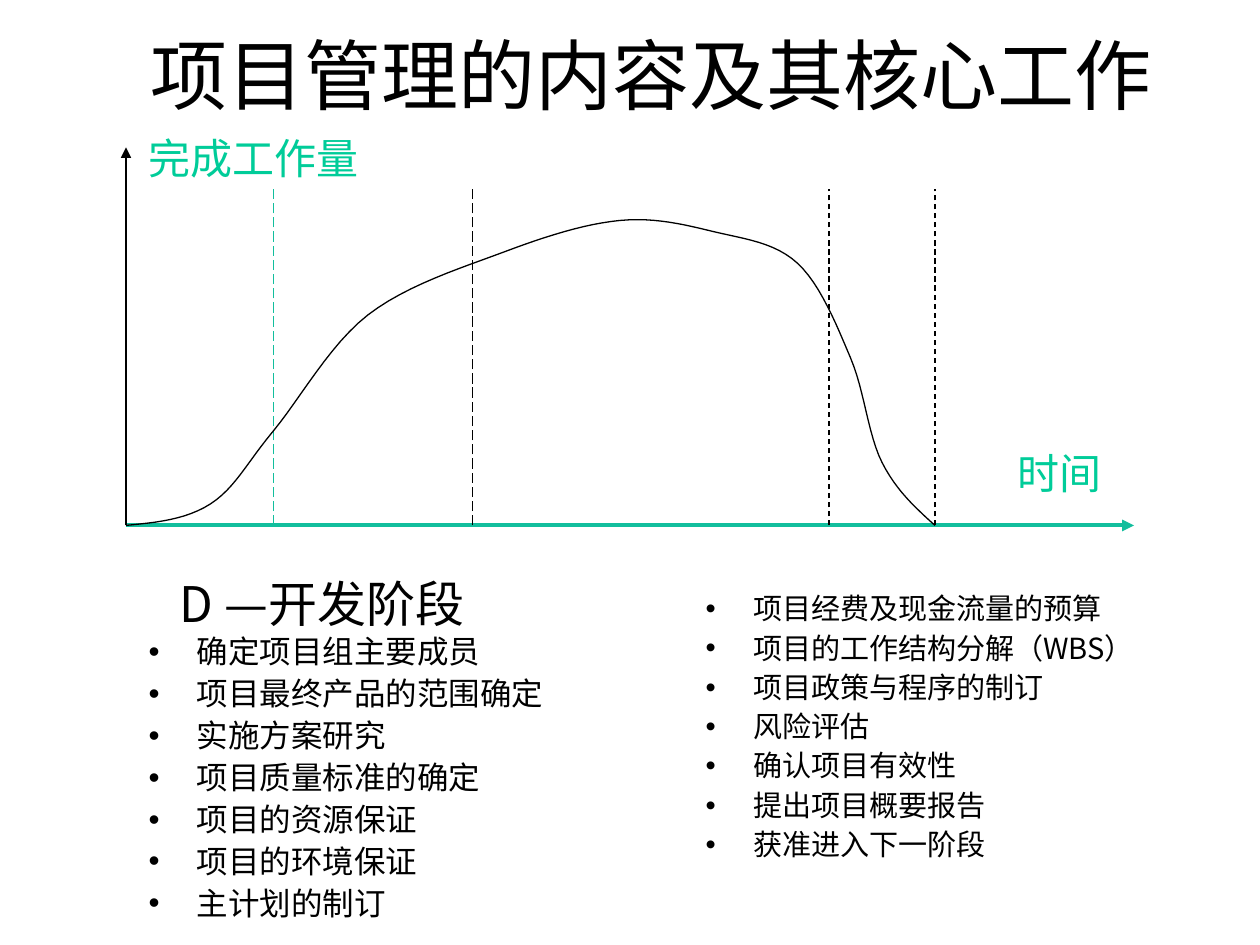
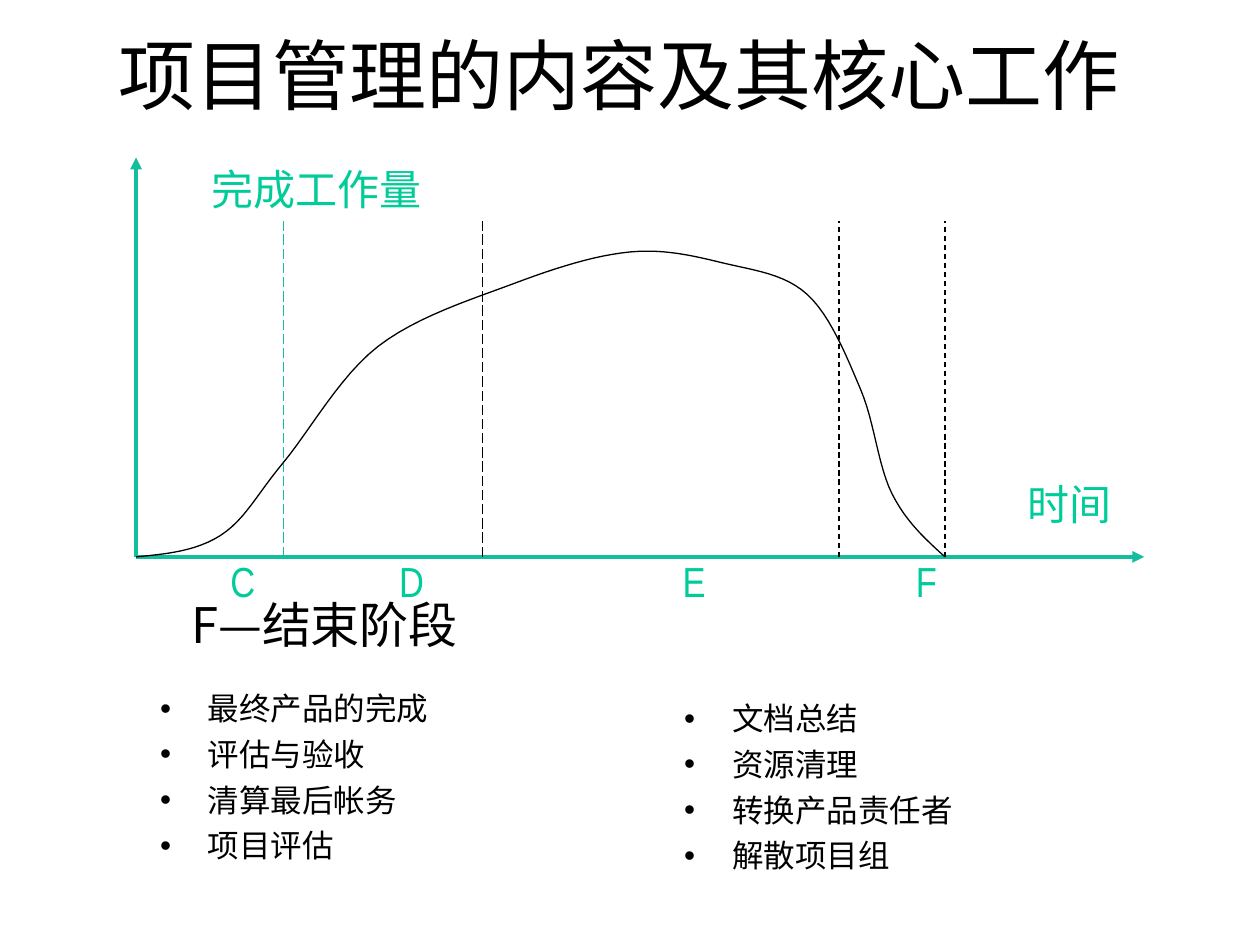
import pptx
import pptx.dml.color
import pptx.enum.dml
import pptx.enum.shapes
import pptx.enum.text
import pptx.oxml
import pptx.oxml.ns
import pptx.util
from pptx.util import Inches

BLACK = pptx.dml.color.RGBColor(0x00, 0x00, 0x00)
AXIS_GREEN = pptx.dml.color.RGBColor(0x12, 0xBE, 0x9D)
LABEL_GREEN = pptx.dml.color.RGBColor(0x00, 0xCC, 0x99)
SERIF = "Times New Roman"
SANS = "Noto Sans CJK SC"
NARROW = "Arial Narrow"
LONG_DASH = pptx.enum.dml.MSO_LINE.LONG_DASH
DASH = pptx.enum.dml.MSO_LINE.DASH

TITLE = "项目管理的内容及其核心工作"
TIME_AXIS_LENGTH = 8
DIVIDER_HEIGHT = 2.67
PHASE_DIVIDERS = [
    (1.17, AXIS_GREEN, LONG_DASH),
    (2.75, BLACK, LONG_DASH),
    (5.58, BLACK, DASH),
    (6.42, BLACK, DASH),
]
WORKLOAD = [
    (0, 0), (0.67, 0.17), (1.17, 0.75), (1.92, 1.67), (3, 2.17), (3.92, 2.42),
    (4.67, 2.33), (5.33, 2.08), (5.75, 1.33), (6, 0.5), (6.42, 0),
]
LEAD_IN, LEAD_OUT = (-0.74, 0.04), (6.93, -0.34)
CURVE_STEPS = 12


def drawing_element(tag, **attributes):
    element = pptx.oxml.parse_xml(f"<a:{tag} {pptx.oxml.ns.nsdecls('a')}/>")
    for key, value in attributes.items():
        element.set(key, value)
    return element


def format_paragraph(paragraph, size, font, color):
    for run in paragraph.runs:
        run.font.size = pptx.util.Pt(size)
        run.font.name = font
        run.font.color.rgb = color
        run.font._element.find(pptx.oxml.ns.qn("a:latin")).addnext(
            drawing_element("ea", typeface=SANS))


def place(shape, left, top, width, height):
    shape.left, shape.top = Inches(left), Inches(top)
    shape.width, shape.height = Inches(width), Inches(height)


def add_title(slide, box):
    title = slide.shapes.title
    place(title, *box)
    frame = title.text_frame
    frame.text = TITLE
    frame.auto_size = pptx.enum.text.MSO_AUTO_SIZE.NONE
    frame.vertical_anchor = pptx.enum.text.MSO_ANCHOR.MIDDLE
    frame.paragraphs[0].alignment = pptx.enum.text.PP_ALIGN.CENTER
    format_paragraph(frame.paragraphs[0], 44, SERIF, BLACK)


def add_tasks(slide, index, box, tasks, line_spacing, size=18, font=SERIF):
    body = slide.placeholders[index]
    place(body, *box)
    frame = body.text_frame
    frame.text = "\n".join(tasks)
    frame.auto_size = pptx.enum.text.MSO_AUTO_SIZE.NONE
    for number, paragraph in enumerate(frame.paragraphs):
        properties = paragraph._p.get_or_add_pPr()
        properties.set("marL", str(Inches(0.38)))
        properties.set("indent", str(-Inches(0.38)))
        properties.append(drawing_element("buChar", char="•"))
        paragraph.line_spacing = line_spacing
        paragraph.space_before = pptx.util.Pt(4.5 if number else 0)
        format_paragraph(paragraph, size, font, BLACK)


def add_label(slide, text, box, size, font, color, tab_stops=()):
    label = slide.shapes.add_textbox(*map(Inches, box))
    frame = label.text_frame
    frame.word_wrap = True
    frame.text = text
    paragraph = frame.paragraphs[0]
    if tab_stops:
        tabs = drawing_element("tabLst")
        for stop in tab_stops:
            tabs.append(drawing_element("tab", pos=str(Inches(stop)), algn="l"))
        paragraph._p.get_or_add_pPr().append(tabs)
    format_paragraph(paragraph, size, font, color)


def add_line(slide, start, end, color, width=0.75, dash=None, arrow=False):
    connector = slide.shapes.add_connector(
        pptx.enum.shapes.MSO_CONNECTOR.STRAIGHT, *map(Inches, (*start, *end)))
    connector.line.color.rgb = color
    connector.line.width = pptx.util.Pt(width)
    if dash:
        connector.line.dash_style = dash
    if arrow:
        connector.line._get_or_add_ln().append(
            drawing_element("tailEnd", type="triangle"))
    connector._element.spPr.append(drawing_element("effectLst"))


def spline(knots):
    points = [knots[1]]
    for before, start, end, after in zip(knots, knots[1:], knots[2:], knots[3:]):
        for step in range(1, CURVE_STEPS + 1):
            t = step / CURVE_STEPS
            points.append(tuple(
                (2 * b + (c - a) * t + (2 * a - 5 * b + 4 * c - d) * t ** 2
                 + (3 * b - a - 3 * c + d) * t ** 3) / 2
                for a, b, c, d in zip(before, start, end, after)))
    return points


def add_workload_curve(slide, left, base):
    points = [(Inches(left + x), Inches(base - y))
              for x, y in spline([LEAD_IN, *WORKLOAD, LEAD_OUT])]
    builder = slide.shapes.build_freeform(*points[0])
    builder.add_line_segments(points[1:], close=False)
    curve = builder.convert_to_shape()
    curve.shadow.inherit = False
    curve.fill.background()
    curve.line.color.rgb = BLACK
    curve.line.width = pptx.util.Pt(0.75)


def add_workload_diagram(slide, left, base, work_axis, work_label):
    height, color, width = work_axis
    add_line(slide, (left, base), (left + TIME_AXIS_LENGTH, base),
             AXIS_GREEN, 2.25, arrow=True)
    add_line(slide, (left, base), (left, base - height), color, width, arrow=True)
    for offset, divider_color, dash in PHASE_DIVIDERS:
        x = left + offset
        add_line(slide, (x, base), (x, base - DIVIDER_HEIGHT), divider_color, dash=dash)
    add_workload_curve(slide, left, base)
    add_label(slide, "时间", (left + 6.98, base - 0.67, 1.02, 0.5),
              24, NARROW, LABEL_GREEN)
    add_label(slide, "完成工作量", (*work_label, 2, 0.5), 24, SERIF, LABEL_GREEN)


def add_development_slide(presentation):
    slide = presentation.slides.add_slide(presentation.slide_layouts[3])
    add_title(slide, (0.67, -0.25, 9, 1.67))
    add_tasks(slide, 1, (1.08, 5, 4.58, 2.5), [
        "确定项目组主要成员", "项目最终产品的范围确定", "实施方案研究",
        "项目质量标准的确定", "项目的资源保证", "项目的环境保证", "主计划的制订",
    ], 0.9)
    add_tasks(slide, 2, (5.5, 4.67, 4.17, 2.5), [
        "项目经费及现金流量的预算", "项目的工作结构分解（WBS）", "项目政策与程序的制订",
        "风险评估", "确认项目有效性", "提出项目概要报告", "获准进入下一阶段",
    ], 0.9, 16.6, SANS)
    add_label(slide, "D —开发阶段", (1.33, 4.5, 2.6, 0.57), 28, SANS, BLACK)
    add_workload_diagram(slide, 1, 4.17, (3, BLACK, 0.75), (1.08, 1))


def add_closing_slide(presentation):
    slide = presentation.slides.add_slide(presentation.slide_layouts[3])
    add_title(slide, (0.33, 0, 9.17, 1.17))
    add_tasks(slide, 1, (1.17, 5.42, 4.17, 2.33),
              ["最终产品的完成", "评估与验收", "清算最后帐务", "项目评估"], 1.0)
    add_tasks(slide, 2, (5.33, 5.5, 4.17, 2.25),
              ["文档总结", "资源清理", "转换产品责任者", "解散项目组"], 1.0)
    add_label(slide, "F—结束阶段", (1.42, 4.67, 3.1, 0.57), 28, SANS, BLACK)
    add_workload_diagram(slide, 1.08, 4.42, (3.17, AXIS_GREEN, 2.25), (1.58, 1.25))
    add_label(slide, "C\tD\tE\tF", (1.73, 4.36, 7.35, 0.5),
              24, NARROW, LABEL_GREEN, (1.34, 3.59, 5.44))


def main():
    presentation = pptx.Presentation()
    presentation.slide_width, presentation.slide_height = Inches(10), Inches(7.5)
    add_development_slide(presentation)
    add_closing_slide(presentation)
    presentation.save("out.pptx")


if __name__ == "__main__":
    main()
